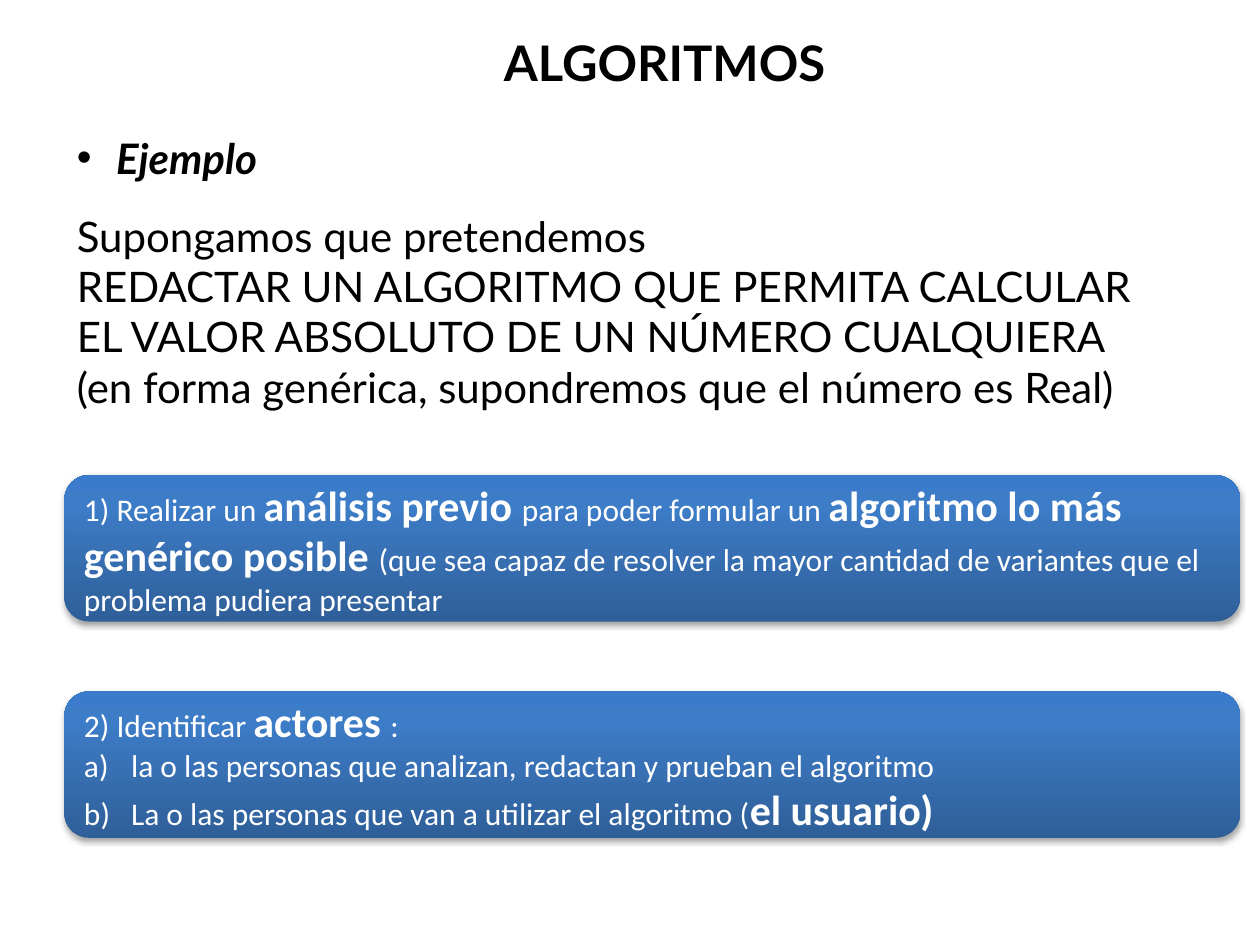
import copy
import pptx
import pptx.dml.color
import pptx.enum.shapes
import pptx.enum.text
import pptx.oxml
import pptx.oxml.ns
import pptx.util
import lxml.etree

Cm = pptx.util.Cm
Pt = pptx.util.Pt
qn = pptx.oxml.ns.qn
RGB = pptx.dml.color.RGBColor.from_string

COLORS = {"text": "000000", "light": "FFFFFF", "shadow": "000000",
          "dark": "2F5F99", "mid": "3D7CC7", "top": "3A7CCB"}
STOPS = [(0, "dark"), (80, "mid"), (100, "top")]
LEFT = 1.3


def add_paragraphs(tf, paragraphs, font, color):
    tf.word_wrap = True
    for i, (bullet, indent, runs) in enumerate(paragraphs):
        p = tf.paragraphs[0] if i == 0 else tf.add_paragraph()
        p.alignment = pptx.enum.text.PP_ALIGN.LEFT
        if bullet:
            pPr = p._p.get_or_add_pPr()
            pPr.set("marL", str(Cm(indent)))
            pPr.set("indent", str(-Cm(indent)))
            if bullet == "•":
                lxml.etree.SubElement(pPr, qn("a:buFont"), typeface="Arial")
                lxml.etree.SubElement(pPr, qn("a:buChar"), char=bullet)
            else:
                lxml.etree.SubElement(pPr, qn("a:buFont"), typeface="+mj-lt")
                lxml.etree.SubElement(pPr, qn("a:buAutoNum"), type=bullet)
        for text, size, bold, italic in runs:
            r = p.add_run()
            r.text = text
            r.font.name = font
            r.font.size = Pt(size)
            r.font.bold = bold
            r.font.italic = italic
            r.font.color.rgb = RGB(COLORS[color])


def add_shadow(sp):
    sp.shadow.inherit = False
    effects = sp._element.spPr.find(qn("a:effectLst"))
    shadow = lxml.etree.SubElement(
        effects, qn("a:outerShdw"), blurRad=str(Pt(3.1)), dist=str(Pt(1.8)),
        dir="5400000", rotWithShape="0")
    clr = lxml.etree.SubElement(shadow, qn("a:srgbClr"), val=COLORS["shadow"])
    lxml.etree.SubElement(clr, qn("a:alpha"), val="35000")


prs = pptx.Presentation()
prs.slide_width = Cm(25.4)
prs.slide_height = Cm(19.05)
s = prs.slides.add_slide(prs.slide_layouts[6])

texts = [
    (LEFT, 2.54, 23.01, 2.13, [("•", 0.79, [("Ejemplo", 24, True, True)])]),
    (9.91, 0.53, 7.39, 1.45, [(None, 0, [("ALGORITMOS", 28, True, False)])]),
    (LEFT, 4.11, 21.79, 4.37, [
        (None, 0, [(line, 24, False, False)]) for line in (
            "Supongamos que pretendemos",
            "REDACTAR UN ALGORITMO QUE PERMITA CALCULAR EL VALOR ABSOLUTO DE UN NÚMERO CUALQUIERA",
            "(en forma genérica, supondremos que el número es Real)")]),
]
for x, y, w, h, paragraphs in texts:
    sp = s.shapes.add_textbox(Cm(x), Cm(y), Cm(w), Cm(h))
    add_paragraphs(sp.text_frame, paragraphs, "Lato", "text")

steps = [
    (9.58, [
        (None, 0, [
            ("1) Realizar un ", 18, False, False),
            ("análisis previo ", 24, True, False),
            ("para poder formular un ", 18, False, False),
            ("algoritmo lo más genérico posible ", 24, True, False),
            ("(que sea capaz de resolver la mayor cantidad de variantes que el problema pudiera presentar", 18, False, False)])]),
    (13.94, [
        (None, 0, [
            ("2) Identificar ", 18, False, False),
            ("actores ", 24, True, False),
            (":", 18, False, False)]),
        ("alphaLcParenR", 0.95, [
            ("la o las personas que analizan, redactan y prueban el algoritmo", 18, False, False)]),
        ("alphaLcParenR", 0.95, [
            ("La o las personas que van a utilizar el algoritmo (", 18, False, False),
            ("el usuario)", 24, True, False)])]),
]
for y, paragraphs in steps:
    sp = s.shapes.add_shape(pptx.enum.shapes.MSO_SHAPE.ROUNDED_RECTANGLE,
                            Cm(LEFT), Cm(y), Cm(23.7), Cm(2.95))
    sp.line.fill.background()
    sp.fill.gradient()
    sp.fill.gradient_angle = 90
    gs = sp._element.spPr.find(".//" + qn("a:gsLst"))
    gs.append(copy.deepcopy(gs[-1]))
    for stop, (position, color) in zip(sp.fill.gradient_stops, STOPS):
        stop.position = position / 100
        stop.color.rgb = RGB(COLORS[color])
    add_shadow(sp)
    tf = sp.text_frame
    tf.vertical_anchor = pptx.enum.text.MSO_ANCHOR.MIDDLE
    add_paragraphs(tf, paragraphs, "Calibri", "light")

prs.save("out.pptx")
